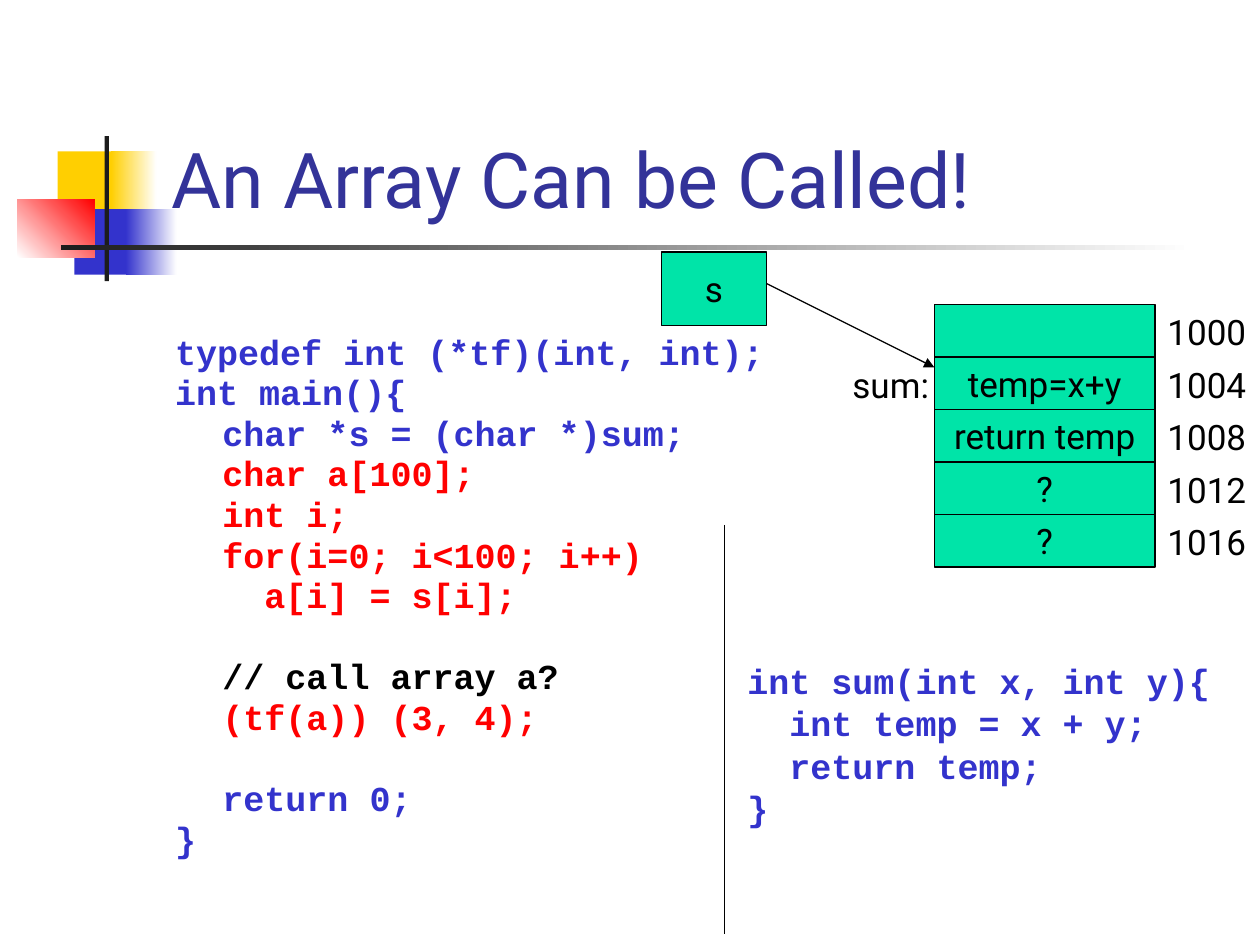
from dataclasses import dataclass

from lxml import etree
from pptx import Presentation
from pptx.dml.color import RGBColor
from pptx.enum.shapes import MSO_CONNECTOR, MSO_SHAPE
from pptx.enum.text import MSO_ANCHOR, MSO_AUTO_SIZE, PP_ALIGN
from pptx.oxml.ns import qn
from pptx.util import Pt

RECTANGLE = MSO_SHAPE.RECTANGLE
STRAIGHT = MSO_CONNECTOR.STRAIGHT
MIDDLE, BOTTOM = MSO_ANCHOR.MIDDLE, MSO_ANCHOR.BOTTOM
NO_AUTOFIT = MSO_AUTO_SIZE.NONE
LEFT, CENTER = PP_ALIGN.LEFT, PP_ALIGN.CENTER

TITLE_ONLY = 5
SANS, MONO = "Roboto", "Courier New"
TEXT_SIZE = 20
COLORS = {
    "title": "333399",
    "blue": "3333CC",
    "red": "FF0000",
    "yellow": "FFCF01",
    "bar": "1C1C1C",
    "cell": "00E4A8",
    "black": "000000",
    "white": "FFFFFF",
}


@dataclass
class Box:
    left: float
    top: float
    width: float
    height: float

    def lengths(self):
        return [Pt(n) for n in (self.left, self.top, self.width, self.height)]


@dataclass
class Ornament:
    box: Box
    color: str
    fade_to: str = ""
    angle: float = 0


@dataclass
class CodeLine:
    text: str
    color: str = "blue"
    indented: bool = False
    gap_before: bool = False


ORNAMENTS = [
    Ornament(Box(33, 86.5, 34.5, 37.5), "yellow"),
    Ornament(Box(63.5, 86.5, 26, 37.5), "yellow", "white"),
    Ornament(Box(42.5, 119.5, 33, 37.5), "blue"),
    Ornament(Box(72, 119.5, 29, 37.5), "blue", "white"),
    Ornament(Box(10, 113.8, 44, 33.2), "white", "red", 45),
    Ornament(Box(59.8, 77.8, 2.5, 82.8), "bar"),
    Ornament(Box(34.6, 140.2, 648, 2.5), "bar", "white"),
]
MAIN_CODE = [
    CodeLine("typedef int (*tf)(int, int);"),
    CodeLine("int main(){"),
    CodeLine("char *s = (char *)sum;", indented=True),
    CodeLine("char a[100];", "red", True),
    CodeLine("int i;", "red", True),
    CodeLine("for(i=0; i<100; i++)", "red", True),
    CodeLine("  a[i] = s[i];", "red", True),
    CodeLine("// call array a?", "black", True, True),
    CodeLine("(tf(a)) (3, 4);", "red", True),
    CodeLine("return 0;", indented=True, gap_before=True),
    CodeLine("}"),
]
SUM_CODE = [
    CodeLine("int sum(int x, int y){"),
    CodeLine("  int temp = x + y;"),
    CodeLine("  return temp;"),
    CodeLine("}"),
]
MEMORY = ["", "temp=x+y", "return temp", "?", "?"]
FIRST_ADDRESS, WORD_BYTES = 1000, 4
MEMORY_LEFT, MEMORY_TOP, CELL_WIDTH, CELL_HEIGHT = 534, 174, 126, 30
LABEL_WIDTH, LABEL_HEIGHT = 60, 31
CODE_INDENT = 27


def rgb(name: str) -> RGBColor:
    return RGBColor.from_string(COLORS[name])


def add_run(paragraph, text: str, font_name: str = SANS, color: str = "black",
            size: float = TEXT_SIZE, bold: bool = False) -> None:
    run = paragraph.add_run()
    run.text = text
    run.font.name = font_name
    run.font.size = Pt(size)
    run.font.bold = bold
    run.font.color.rgb = rgb(color)


def add_ornament(slide, ornament: Ornament) -> None:
    shape = slide.shapes.add_shape(RECTANGLE, *ornament.box.lengths())
    shape.shadow.inherit = False
    shape.line.fill.background()
    if ornament.fade_to:
        shape.fill.gradient()
        shape.fill.gradient_angle = ornament.angle
        for stop, name in zip(shape.fill.gradient_stops,
                              (ornament.color, ornament.fade_to)):
            stop.color.rgb = rgb(name)
    else:
        shape.fill.solid()
        shape.fill.fore_color.rgb = rgb(ornament.color)


def add_cell(slide, box: Box, text: str) -> None:
    shape = slide.shapes.add_shape(RECTANGLE, *box.lengths())
    shape.shadow.inherit = False
    shape.fill.solid()
    shape.fill.fore_color.rgb = rgb("cell")
    shape.line.color.rgb = rgb("black")
    shape.line.width = Pt(0.75)
    if text:
        frame = shape.text_frame
        frame.word_wrap = False
        frame.vertical_anchor = MIDDLE
        frame.paragraphs[0].alignment = CENTER
        add_run(frame.paragraphs[0], text)


def add_label(slide, left: float, top: float, text: str) -> None:
    box = Box(left, top, LABEL_WIDTH, LABEL_HEIGHT)
    frame = slide.shapes.add_textbox(*box.lengths()).text_frame
    frame.word_wrap = True
    add_run(frame.paragraphs[0], text)


def add_code(slide, box: Box, lines: list[CodeLine], pitch: float) -> None:
    """Set the lines at an exact pitch, a gap being one skipped line."""
    frame = slide.shapes.add_textbox(*box.lengths()).text_frame
    frame.word_wrap = True
    for index, line in enumerate(lines):
        paragraph = frame.add_paragraph() if index else frame.paragraphs[0]
        paragraph.line_spacing = Pt(pitch)
        if line.indented:
            paragraph._p.get_or_add_pPr().set("marL", str(Pt(CODE_INDENT)))
        if line.gap_before:
            paragraph.space_before = Pt(pitch)
        add_run(paragraph, line.text, MONO, line.color, bold=True)


def add_line(slide, start: tuple[float, float], end: tuple[float, float],
             arrow: bool = False) -> None:
    ends = [Pt(n) for n in (*start, *end)]
    connector = slide.shapes.add_connector(STRAIGHT, *ends)
    connector.line.color.rgb = rgb("black")
    connector.line.width = Pt(0.75)
    if arrow:
        etree.SubElement(connector.line._get_or_add_ln(), qn("a:tailEnd"),
                         type="triangle")
    etree.SubElement(connector._element.spPr, qn("a:effectLst"))


def set_title(slide, text: str) -> None:
    title = slide.shapes.title
    title.left, title.top, title.width, title.height = Box(
        90.7, 16.6, 613.4, 115.2).lengths()
    frame = title.text_frame
    frame.auto_size = NO_AUTOFIT
    frame.vertical_anchor = BOTTOM
    frame.paragraphs[0].alignment = LEFT
    add_run(frame.paragraphs[0], text, color="title", size=44)


def add_memory(slide) -> None:
    for row, content in enumerate(MEMORY):
        top = MEMORY_TOP + row * CELL_HEIGHT
        add_cell(slide, Box(MEMORY_LEFT, top, CELL_WIDTH, CELL_HEIGHT), content)
        add_label(slide, MEMORY_LEFT + CELL_WIDTH, top,
                  str(FIRST_ADDRESS + row * WORD_BYTES))
    add_label(slide, 480, MEMORY_TOP + CELL_HEIGHT, "sum:")


def main() -> None:
    presentation = Presentation()
    presentation.slide_width, presentation.slide_height = Pt(720), Pt(540)
    slide = presentation.slides.add_slide(presentation.slide_layouts[TITLE_ONLY])
    for ornament in ORNAMENTS:
        add_ornament(slide, ornament)
    set_title(slide, "An Array Can be Called!")
    add_code(slide, Box(93, 186, 612, 310), MAIN_CODE, 23.2)
    add_memory(slide)
    add_cell(slide, Box(378, 144, 60, 42), "s")
    add_line(slide, (438, 162), (MEMORY_LEFT, 210), arrow=True)
    add_code(slide, Box(420, 373, 282, 108), SUM_CODE, 24.2)
    add_line(slide, (414, 300), (414, 534))
    presentation.save("out.pptx")


if __name__ == "__main__":
    main()
